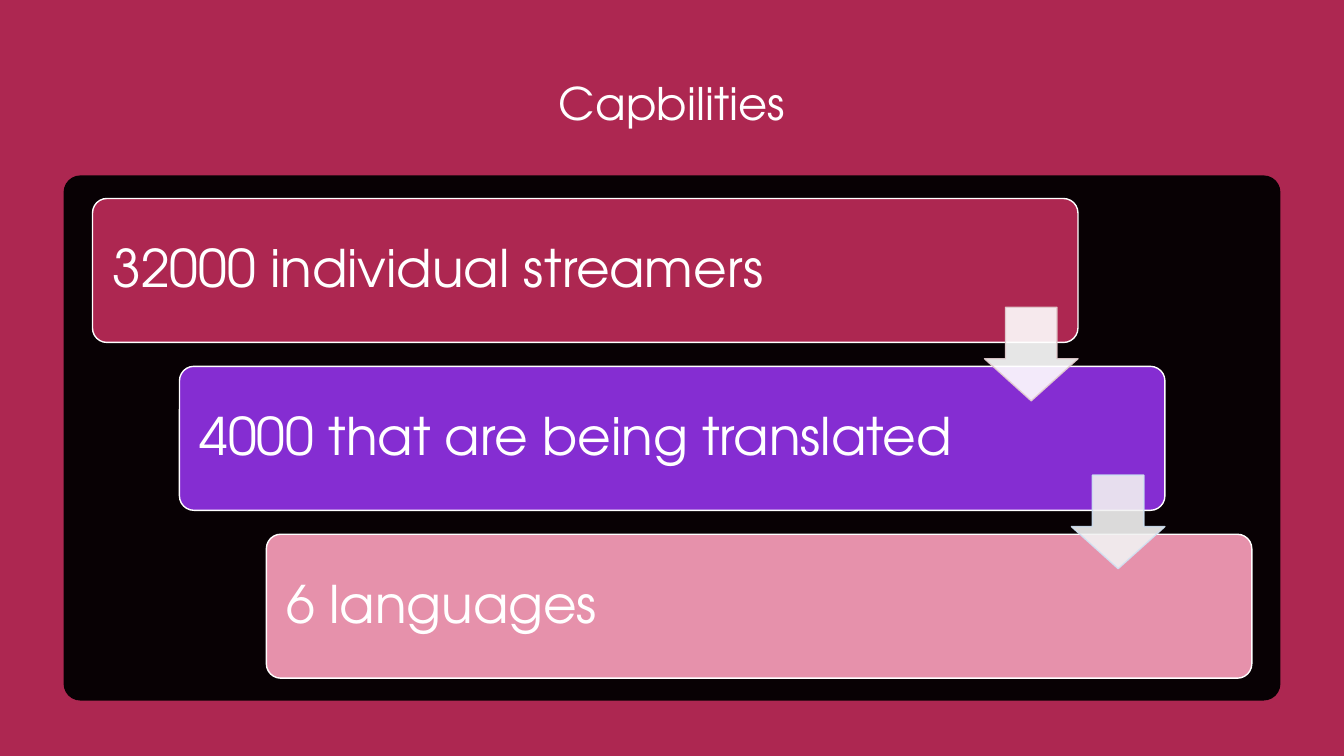
from lxml.etree import SubElement
from pptx import Presentation
from pptx.dml.color import RGBColor
from pptx.enum.shapes import MSO_SHAPE as Shape
from pptx.enum.text import MSO_ANCHOR as Anchor, PP_ALIGN as Align
from pptx.oxml.ns import qn
from pptx.util import Pt

TITLE = "Capbilities"
FONT = "TeX Gyre Adventor"
COLORS = {"crimson": "AD2751", "black": "000000", "white": "FFFFFF",
          "purple": "852DD2", "pink": "E691AB", "gray": "F2F2F2",
          "rose edge": "E3CDD0", "blue edge": "D0E1F2"}
STEPS = [("32000 individual streamers", "crimson"),
         ("4000 that are being translated", "purple"),
         ("6 languages", "pink")]
ARROWS = [("white", "rose edge"), ("gray", "blue edge")]

SLIDE_W, SLIDE_H = 960, 540
PANEL = (45.4, 125.3, 869.2, 375.1)
CARD_X, CARD_Y, CARD_W, CARD_H = 66.1, 141.8, 703.9, 102.8
STEP_X, STEP_Y = 62.1, 119.9
ARROW_SIZE, ARROW_DROP = 66.8, 77.7


def color(name):
    return RGBColor.from_string(COLORS[name])


def add_box(kind, box, fill, edge=None, opacity=100, adjust=()):
    """Add a shape; opacity is a percentage for both fill and edge."""
    sp = slide.shapes.add_shape(kind, *map(Pt, box))
    sp.shadow.inherit = False
    for i, value in enumerate(adjust):
        sp.adjustments[i] = value
    sp.fill.solid()
    sp.fill.fore_color.rgb = color(fill)
    if edge:
        sp.line.color.rgb = color(edge)
        sp.line.width = Pt(1)
    else:
        sp.line.fill.background()
    if opacity < 100:
        for rgb in list(sp._element.spPr.iter(qn("a:srgbClr"))):
            SubElement(rgb, qn("a:alpha"), val=str(opacity * 1000))
    return sp


def write(sp, text, size, align):
    tf = sp.text_frame
    tf.word_wrap = True
    tf.vertical_anchor = Anchor.MIDDLE
    tf.text = text
    p = tf.paragraphs[0]
    p.alignment = align
    p.line_spacing = 0.9
    font = p.runs[0].font
    font.name, font.size = FONT, Pt(size)
    font.color.rgb = color("white")
    return tf


prs = Presentation()
prs.slide_width, prs.slide_height = Pt(SLIDE_W), Pt(SLIDE_H)
slide = prs.slides.add_slide(prs.slide_layouts[6])

add_box(Shape.RECTANGLE, (0, 0, SLIDE_W, SLIDE_H), "crimson")
title = slide.shapes.add_textbox(Pt(66), Pt(36), Pt(828), Pt(79.2))
write(title, TITLE, 32, Align.CENTER)
add_box(Shape.ROUNDED_RECTANGLE, PANEL, "black", opacity=95, adjust=[0.032])

for i, (text, fill) in enumerate(STEPS):
    box = (CARD_X + i * STEP_X, CARD_Y + i * STEP_Y, CARD_W, CARD_H)
    card = add_box(Shape.ROUNDED_RECTANGLE, box, fill, "white", adjust=[0.1])
    tf = write(card, text, 37, Align.LEFT)
    tf.margin_left = tf.margin_top = tf.margin_bottom = Pt(11.4)
    tf.margin_right = Pt(120)

for i, (fill, edge) in enumerate(ARROWS):
    left = CARD_X + CARD_W - ARROW_SIZE + i * STEP_X
    top = CARD_Y + ARROW_DROP + i * STEP_Y
    add_box(Shape.DOWN_ARROW, (left, top, ARROW_SIZE, ARROW_SIZE),
            fill, edge, opacity=90, adjust=[0.55, 0.45])

prs.save("out.pptx")
